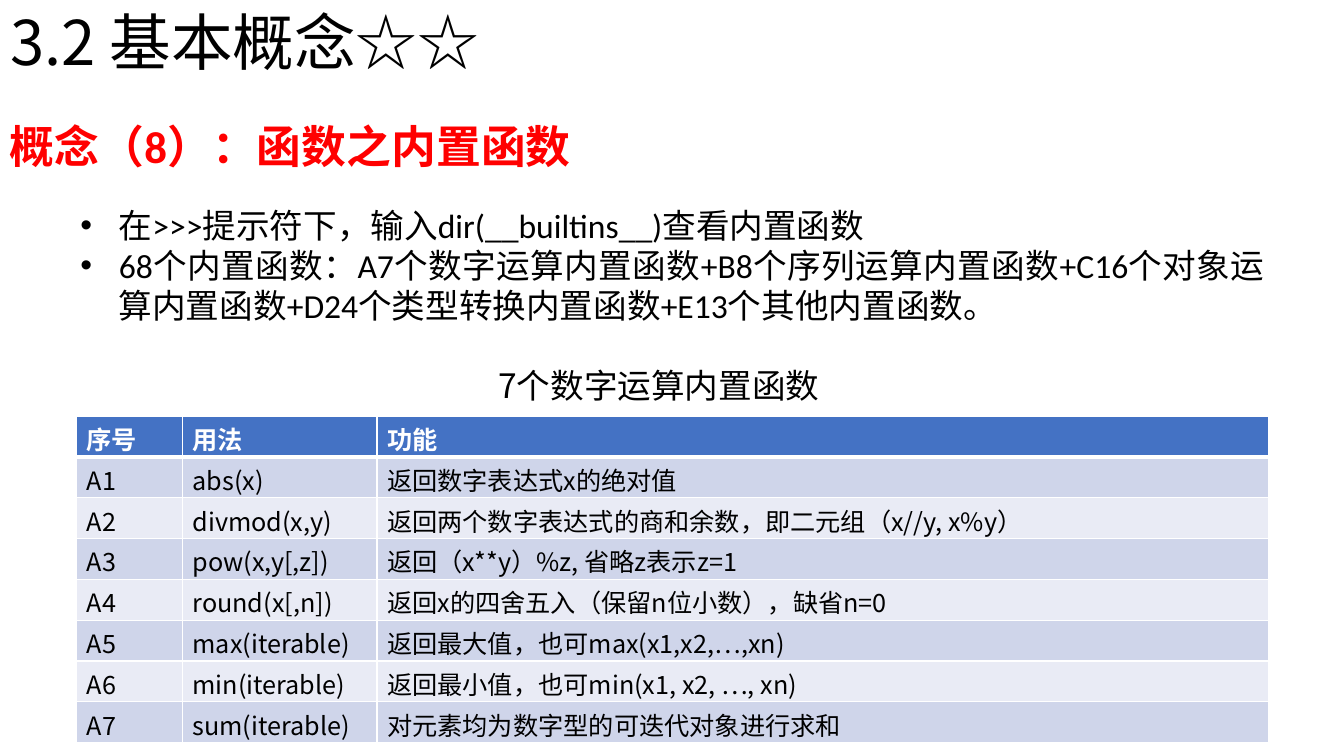
from lxml.etree import SubElement
from pptx import Presentation
from pptx.dml.color import RGBColor
from pptx.enum.text import MSO_ANCHOR as Anchor, PP_ALIGN as Align
from pptx.oxml.ns import qn
from pptx.util import Inches, Pt

COLORS = {"text": "000000", "accent": "FF0000", "white": "FFFFFF",
          "header": "4472C4", "odd": "CFD5EA", "even": "E9EBF5"}
CJK, LATIN = "Noto Sans CJK SC", "Calibri"

USAGES = [
    ("序号", "用法", "功能"),
    ("A1", "abs(x)", "返回数字表达式x的绝对值"),
    ("A2", "divmod(x,y)", "返回两个数字表达式的商和余数，即二元组（x//y, x%y）"),
    ("A3", "pow(x,y[,z])", "返回（x**y）%z, 省略z表示z=1"),
    ("A4", "round(x[,n])", "返回x的四舍五入（保留n位小数），缺省n=0"),
    ("A5", "max(iterable)", "返回最大值，也可max(x1,x2,…,xn)"),
    ("A6", "min(iterable)", "返回最小值，也可min(x1, x2, …, xn)"),
    ("A7", "sum(iterable)", "对元素均为数字型的可迭代对象进行求和"),
]
SUMMARY = [
    "在>>>提示符下，输入dir(__builtins__)查看内置函数",
    "68个内置函数：A7个数字运算内置函数+B8个序列运算内置函数+C16个对象运算内置函数"
    "+D24个类型转换内置函数+E13个其他内置函数。",
]


def add_run(paragraph, text, size, face=CJK, color="text", bold=False):
    """Add one formatted run with Latin and East Asian fonts."""
    run = paragraph.add_run()
    run.text = text
    run.font.size = Pt(size)
    run.font.bold = bold
    run.font.color.rgb = RGBColor.from_string(COLORS[color])
    run.font.name = face
    SubElement(run._r.get_or_add_rPr(), qn("a:ea"), typeface=CJK)


def add_title(slide, box, text):
    """Move and fill the title placeholder."""
    title = slide.shapes.title
    title.left, title.top, title.width, title.height = map(Inches, box)
    title.text_frame.vertical_anchor = Anchor.MIDDLE
    paragraph = title.text_frame.paragraphs[0]
    paragraph.alignment = Align.LEFT
    paragraph.line_spacing = 0.9
    add_run(paragraph, text, 44)


def add_lines(slide, box, lines, size, align=Align.LEFT, bulleted=False, **style):
    """Add a wrapped text box with one paragraph per line."""
    frame = slide.shapes.add_textbox(*map(Inches, box)).text_frame
    frame.word_wrap = True
    for index, line in enumerate(lines):
        paragraph = frame.add_paragraph() if index else frame.paragraphs[0]
        paragraph.alignment = align
        if bulleted:
            properties = paragraph._p.get_or_add_pPr()
            properties.set("marL", str(Inches(0.38)))
            properties.set("indent", str(Inches(-0.38)))
            SubElement(properties, qn("a:buFont"), typeface="Arial")
            SubElement(properties, qn("a:buChar"), char="•")
        add_run(paragraph, line, size, **style)


def add_borders(cell, is_header):
    """Draw white cell borders, thicker below the header."""
    properties = cell._tc.get_or_add_tcPr()
    for side in "LRTB":
        width = Pt(3 if is_header and side == "B" else 1)
        line = SubElement(properties, qn(f"a:ln{side}"), w=str(width))
        fill = SubElement(line, qn("a:solidFill"))
        SubElement(fill, qn("a:srgbClr"), val=COLORS["white"])


def add_usage_table(slide, box, rows, widths):
    """Add the banded table of functions."""
    table = slide.shapes.add_table(len(rows), len(widths), *map(Inches, box)).table
    for column, width in zip(table.columns, widths):
        column.width = Inches(width)
    for r, texts in enumerate(rows):
        is_header = r == 0
        band = "header" if is_header else "odd" if r % 2 else "even"
        for c, text in enumerate(texts):
            cell = table.cell(r, c)
            cell.margin_top, cell.margin_bottom = Inches(0.04), 0
            add_borders(cell, is_header)
            cell.fill.solid()
            cell.fill.fore_color.rgb = RGBColor.from_string(COLORS[band])
            add_run(cell.text_frame.paragraphs[0], text, 18,
                    color="white" if is_header else "text", bold=is_header)


def main():
    """Build and save the slide."""
    deck = Presentation()
    deck.slide_width, deck.slide_height = Inches(13.33), Inches(7.5)
    slide = deck.slides.add_slide(deck.slide_layouts[5])
    add_title(slide, (0, 0, 13.33, 0.91), "3.2 基本概念☆☆")
    add_lines(slide, (0, 1.13, 13.33, 0.64), ["概念（8）：函数之内置函数"], 32,
              face=LATIN, color="accent", bold=True)
    add_lines(slide, (0.7, 1.98, 11.94, 1.31), SUMMARY, 24, Align.JUSTIFY,
              bulleted=True, face=LATIN)
    add_usage_table(slide, (0.76, 4.13, 11.82, 3.24), USAGES, (1.05, 1.93, 8.84))
    add_lines(slide, (-0.13, 3.57, 13.33, 0.5), ["7个数字运算内置函数"], 24, Align.CENTER)
    deck.save("out.pptx")


if __name__ == "__main__":
    main()
